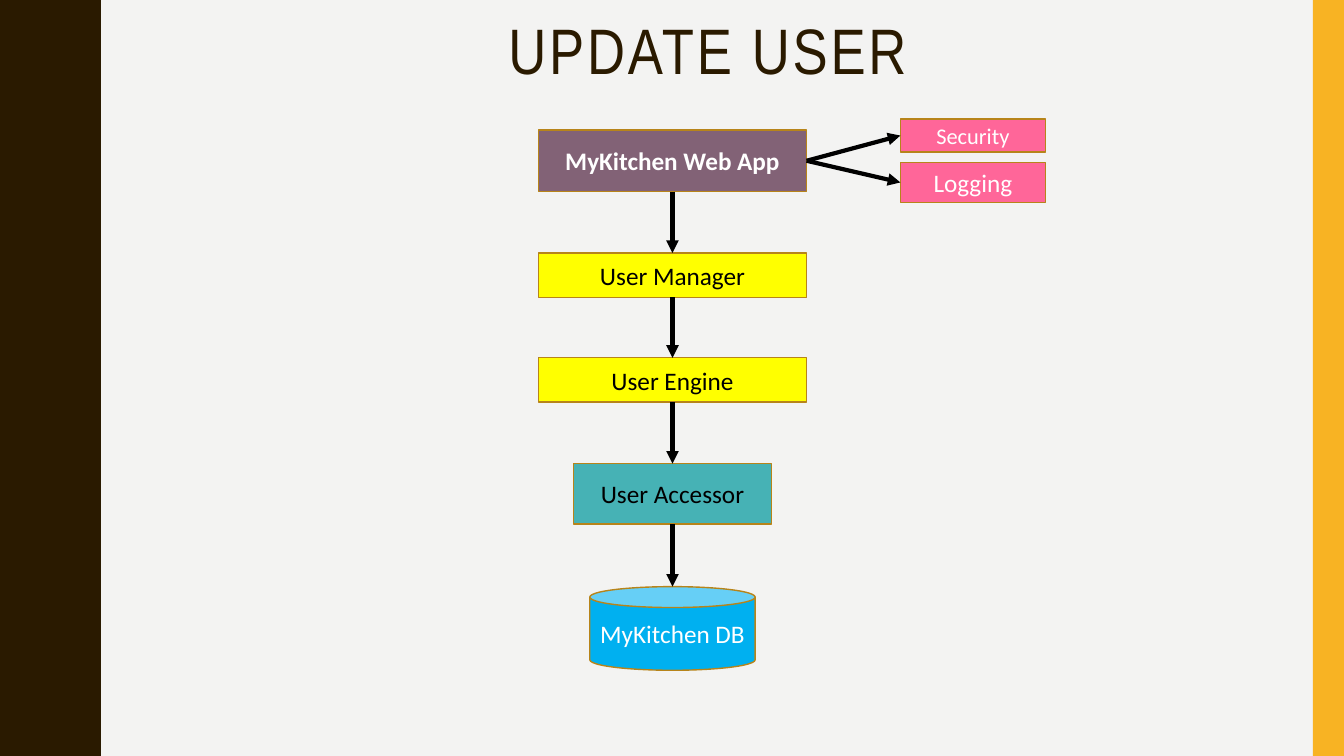
from lxml.etree import SubElement
from pptx import Presentation
from pptx.dml.color import RGBColor
from pptx.enum.shapes import MSO_CONNECTOR as LINK, MSO_SHAPE as SHAPE
from pptx.enum.text import MSO_ANCHOR as ANCHOR, PP_ALIGN as ALIGN
from pptx.oxml.ns import qn
from pptx.util import Inches, Pt

COLORS = {
    "back": "F3F3F2", "brown": "2A1A00", "gold": "F8B323", "edge": "B7841A",
    "plum": "826276", "yellow": "FFFF00", "teal": "46B2B5", "blue": "00B0F0",
    "pink": "FF6699", "black": "000000", "white": "FFFFFF",
}
WIDTH, HEIGHT = 13.33, 7.5
MID = 6.67
PERIOD = 1.5

# Rising half of one wave, as (x, y) in inches
RISE = [(0.78, 0), (0.78, 0.07), (0.79, 0.14), (0.8, 0.2), (0.81, 0.25),
        (0.83, 0.29), (0.85, 0.33), (0.87, 0.38), (0.89, 0.42), (0.91, 0.46),
        (0.93, 0.5), (0.95, 0.55), (0.96, 0.61), (0.97, 0.68), (0.97, 0.75)]

# Text, top, width, height, fill, font colour, preset
STACK = [
    ("MyKitchen Web App", 1.29, 2.66, 0.61, "plum", "white", SHAPE.RECTANGLE),
    ("User Manager", 2.51, 2.66, 0.44, "yellow", "black", SHAPE.RECTANGLE),
    ("User Engine", 3.55, 2.66, 0.44, "yellow", "black", SHAPE.RECTANGLE),
    ("User Accessor", 4.6, 1.96, 0.6, "teal", "black", SHAPE.RECTANGLE),
    ("MyKitchen DB", 5.82, 1.64, 0.83, "blue", "white", SHAPE.CAN),
]
# Text, top, height, font size
SIDE = [("Security", 1.18, 0.33, 16), ("Logging", 1.61, 0.4, 18)]


def rgb(name):
    return RGBColor.from_string(COLORS[name])


def paint(shape, fill, edge=None):
    shape.shadow.inherit = False
    shape.fill.solid()
    shape.fill.fore_color.rgb = rgb(fill)
    if edge:
        shape.line.color.rgb = rgb(edge)
        shape.line.width = Pt(1)
    else:
        shape.line.fill.background()


def write(shape, text, size=18, color="white", font="Calibri", bold=False,
          gap=None, lead=None):
    """Centre text in a shape; gap is letter spacing in points."""
    frame = shape.text_frame
    frame.word_wrap = True
    frame.vertical_anchor = ANCHOR.MIDDLE
    frame.margin_left = frame.margin_right = Inches(0.05)
    para = frame.paragraphs[0]
    para.alignment = ALIGN.CENTER
    if lead:
        para.line_spacing = lead
    run = para.add_run()
    run.text = text
    run.font.size = Pt(size)
    run.font.name = font
    run.font.bold = bold
    run.font.color.rgb = rgb(color)
    if gap:
        run.font._element.set("spc", str(gap * 100))


def add_box(slide, left, top, width, height, fill, edge="edge",
            preset=SHAPE.RECTANGLE):
    box = slide.shapes.add_shape(preset, Inches(left), Inches(top),
                                 Inches(width), Inches(height))
    paint(box, fill, edge)
    return box


def add_arrow(slide, x1, y1, x2, y2):
    link = slide.shapes.add_connector(LINK.STRAIGHT, Inches(x1), Inches(y1),
                                      Inches(x2), Inches(y2))
    link.line.color.rgb = rgb("black")
    link.line.width = Pt(3)
    SubElement(link.line._get_or_add_ln(), qn("a:tailEnd"), type="triangle")
    SubElement(link._element.spPr, qn("a:effectLst"))


def add_wave(slide):
    fall = [(x, PERIOD - y) for x, y in reversed(RISE[1:-1])]
    edge = [(x, y + turn * PERIOD)
            for turn in range(int(HEIGHT / PERIOD)) for x, y in RISE + fall]
    points = edge + [(RISE[0][0], HEIGHT), (0, HEIGHT)]
    form = slide.shapes.build_freeform(0, 0, scale=Inches(1))
    form.add_line_segments(points, close=True)
    paint(form.convert_to_shape(), "brown")


def add_title(slide, text):
    title = slide.shapes.add_textbox(Inches(1.27), Inches(0.18),
                                     Inches(11.5), Inches(0.7))
    write(title, text, size=45.9, color="brown", font="Arial Narrow",
          gap=2, lead=0.9)


def add_stack(slide):
    last = None
    for text, top, width, height, fill, color, preset in STACK:
        box = add_box(slide, MID - width / 2, top, width, height, fill,
                      preset=preset)
        write(box, text, color=color, bold=last is None)
        if last:
            add_arrow(slide, MID, last, MID, top)
        last = top + height


def add_side(slide):
    _, top, width, height, *_ = STACK[0]
    left = 8.93
    for text, y, tall, size in SIDE:
        box = add_box(slide, left, y, 1.44, tall, "pink")
        write(box, text, size=size)
        add_arrow(slide, MID + width / 2, top + height / 2, left, y + tall / 2)


def main():
    deck = Presentation()
    deck.slide_width, deck.slide_height = Inches(WIDTH), Inches(HEIGHT)
    slide = deck.slides.add_slide(deck.slide_layouts[6])
    slide.background.fill.solid()
    slide.background.fill.fore_color.rgb = rgb("back")
    add_wave(slide)
    add_box(slide, 13.02, 0, 0.31, HEIGHT, "gold", edge=None)
    add_title(slide, "UPDATE USER")
    add_stack(slide)
    add_side(slide)
    deck.save("out.pptx")


if __name__ == "__main__":
    main()
